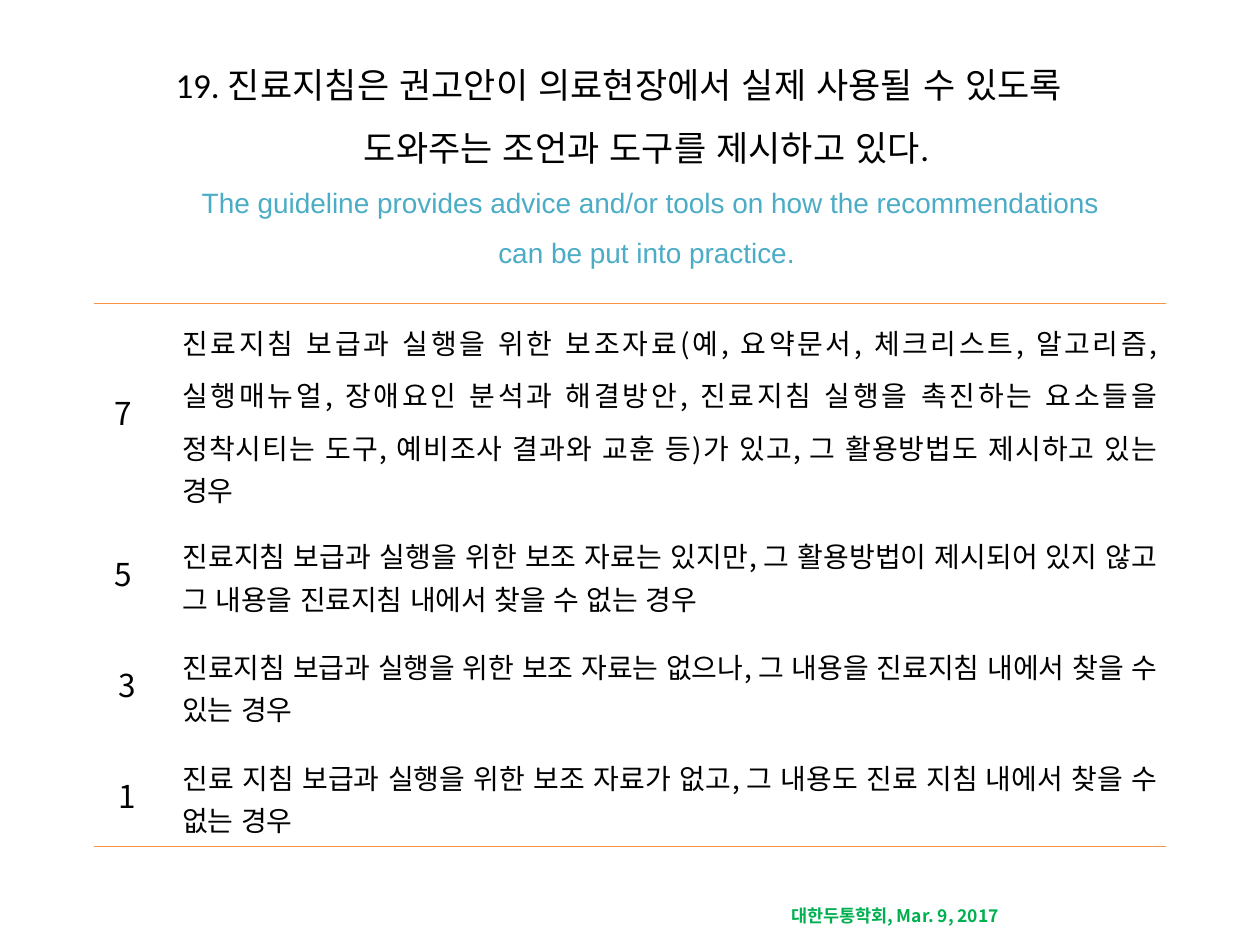
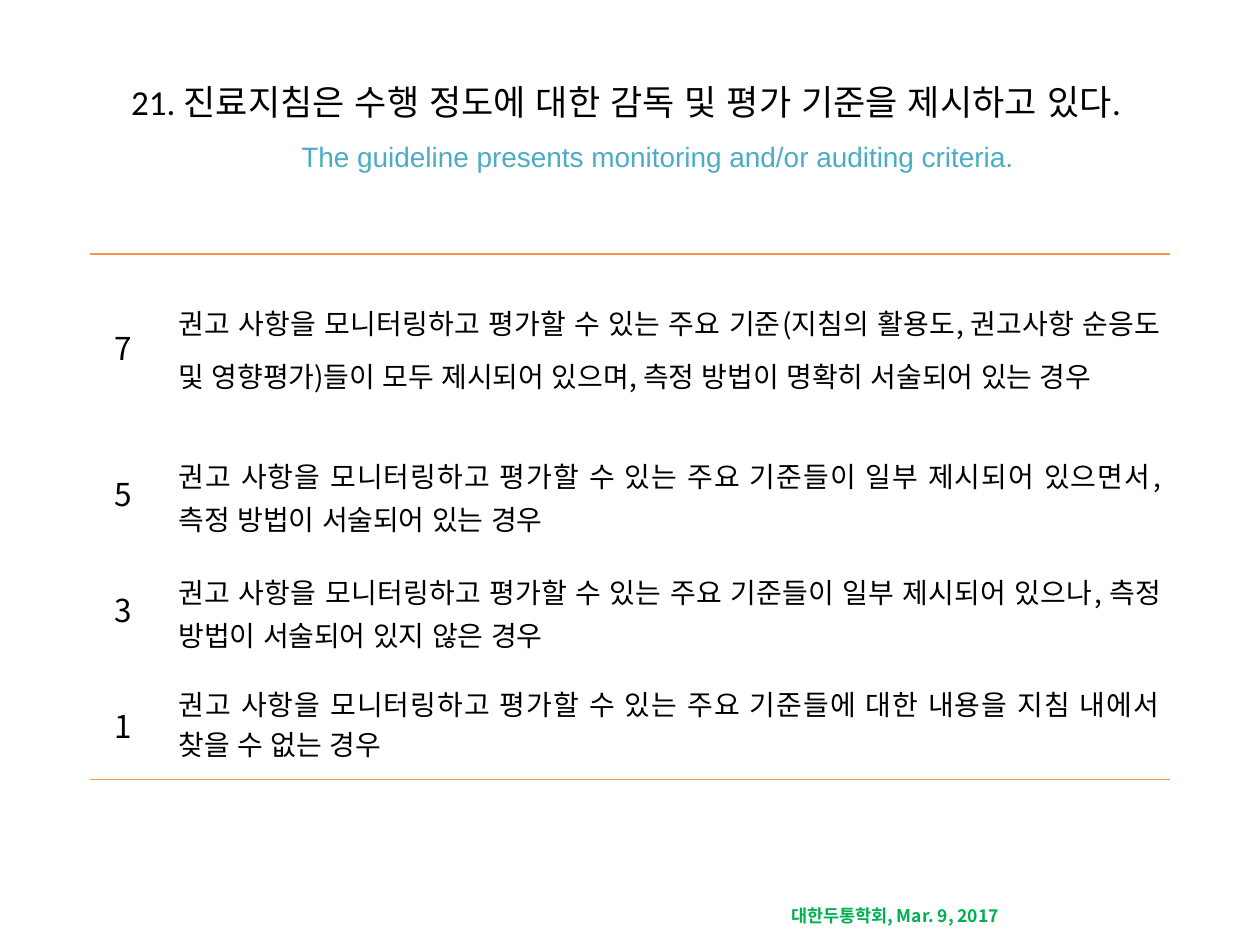
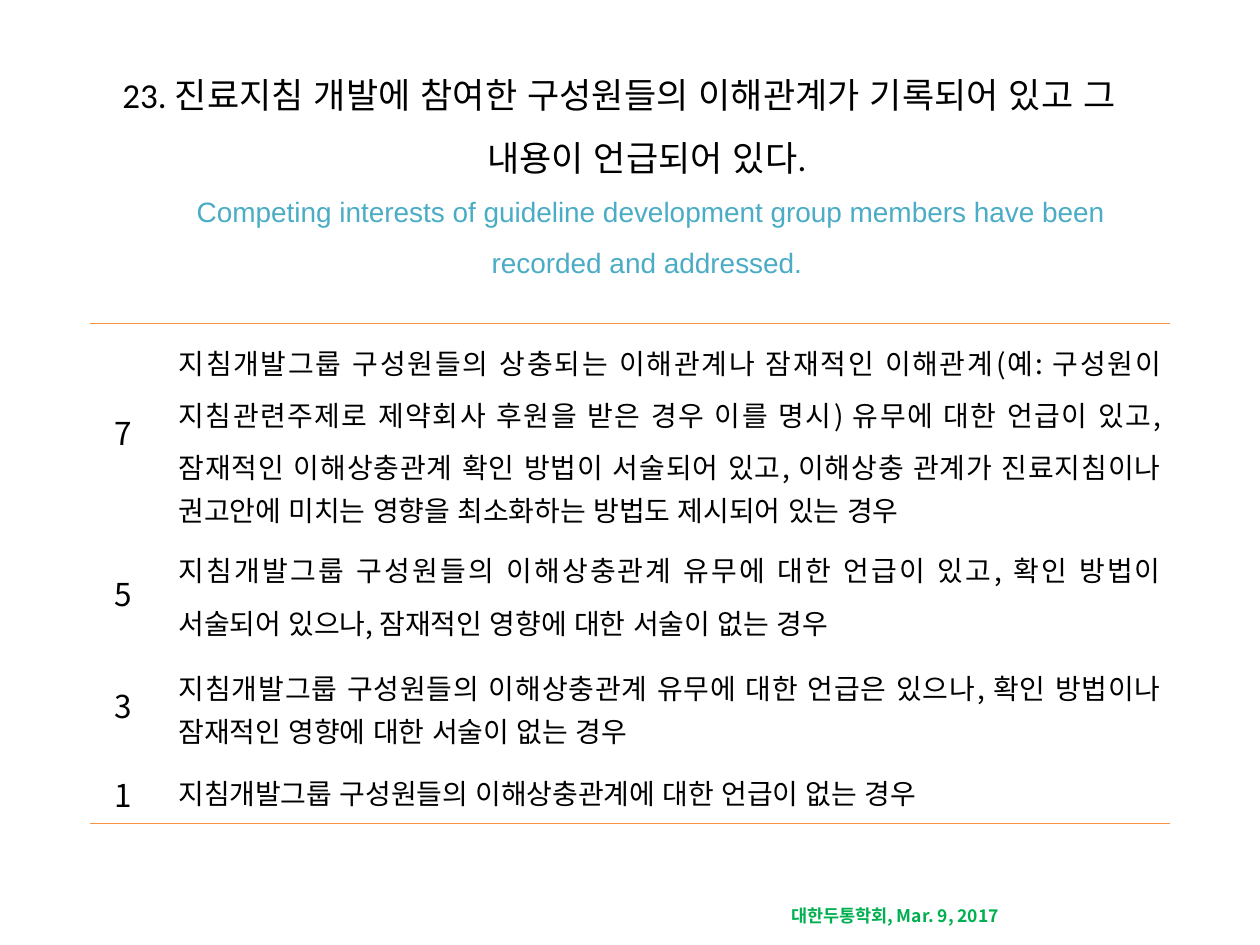
"""Build three guideline appraisal slides, each with a heading and a table of scores."""

from dataclasses import dataclass

from lxml import etree
from pptx import Presentation
from pptx.dml.color import RGBColor
from pptx.enum.text import MSO_ANCHOR, MSO_AUTO_SIZE, PP_ALIGN
from pptx.oxml.ns import qn
from pptx.util import Pt

CENTER = PP_ALIGN.CENTER
JUSTIFY = PP_ALIGN.JUSTIFY
LEFT = PP_ALIGN.LEFT
MIDDLE = MSO_ANCHOR.MIDDLE
TOP = MSO_ANCHOR.TOP
GROW = MSO_AUTO_SIZE.SHAPE_TO_FIT_TEXT
FIXED = MSO_AUTO_SIZE.NONE
BLANK_LAYOUT = 6
PLAIN_TABLE_STYLE = "{2D5ABB26-0587-4C30-8999-92F81FD0307C}"


@dataclass(frozen=True)
class Theme:
    """Colours, fonts and type sizes shared by the slides."""

    ink: str = "000000"
    english: str = "4BACC6"
    rule: str = "F79646"
    footer: str = "00B050"
    korean_font: str = "Noto Sans CJK KR"
    heading_font: str = "Calibri"
    english_font: str = "Arial"
    heading_size: int = 20
    english_size: int = 16
    score_size: int = 18
    criterion_size: int = 16
    footer_size: int = 10
    rule_width: int = 1
    score_column: float = 45.36
    cell_inset: float = 5.04
    score_right_inset: float = 13


THEME = Theme()
FOOTER_TEXT = "대한두통학회, Mar. 9, 2017"
FOOTER_BOX = (444.96, 513.8, 158.4, 19.44)

SLIDES = [
    {
        "heading": "19. 진료지침은 권고안이 의료현장에서 실제 사용될 수 있도록 도와주는 조언과 도구를 제시하고 있다. ",
        "english": "The guideline provides advice and/or tools on how the recommendations can be put into practice. ",
        "heading_box": (58.5, 33.12, 590.4, 112.32),
        "table_box": (53.8, 173.3, 612.72),
        "row_heights": (120.5, 63.36, 63.36, 63.36),
        "criteria": [
            ("7 ", "진료지침 보급과 실행을 위한 보조자료(예, 요약문서, 체크리스트, 알고리즘, 실행매뉴얼, "
             "장애요인 분석과 해결방안, 진료지침 실행을 촉진하는 요소들을 정착시티는 도구, "
             "예비조사 결과와 교훈 등)가 있고, 그 활용방법도 제시하고 있는 경우"),
            ("5 ", "진료지침 보급과 실행을 위한 보조 자료는 있지만, 그 활용방법이 제시되어 있지 않고 "
             "그 내용을 진료지침 내에서 찾을 수 없는 경우"),
            ("3", "진료지침 보급과 실행을 위한 보조 자료는 없으나, 그 내용을 진료지침 내에서 찾을 수 있는 경우"),
            ("1", "진료 지침 보급과 실행을 위한 보조 자료가 없고, 그 내용도 진료 지침 내에서 찾을 수 없는 경우"),
        ],
    },
    {
        "heading": "21. 진료지침은 수행 정도에 대한 감독 및 평가 기준을 제시하고 있다. ",
        "english": "The guideline presents monitoring and/or auditing criteria. ",
        "heading_box": (36, 21.6, 648, 90),
        "table_box": (51.7, 145.2, 616.6),
        "row_heights": (101.52, 66.24, 66.24, 66.24),
        "criteria": [
            ("7", "권고 사항을 모니터링하고 평가할 수 있는 주요 기준(지침의 활용도, 권고사항 순응도 및 "
             "영향평가)들이 모두 제시되어 있으며, 측정 방법이 명확히 서술되어 있는 경우"),
            ("5", "권고 사항을 모니터링하고 평가할 수 있는 주요 기준들이 일부 제시되어 있으면서, "
             "측정 방법이 서술되어 있는 경우"),
            ("3", "권고 사항을 모니터링하고 평가할 수 있는 주요 기준들이 일부 제시되어 있으나, "
             "측정 방법이 서술되어 있지 않은 경우"),
            ("1", "권고 사항을 모니터링하고 평가할 수 있는 주요 기준들에 대한 내용을 지침 내에서 찾을 수 없는 경우"),
        ],
    },
    {
        "heading": "23. 진료지침 개발에 참여한 구성원들의 이해관계가 기록되어 있고 그 내용이 언급되어 있다. ",
        "english": "Competing interests of guideline development group members have been recorded and addressed. ",
        "heading_box": (41.76, 49.5, 624.24, 90),
        "table_box": (51.7, 184.9, 616.6),
        "row_heights": (120, 64.08, 64.08, 37.44),
        "criteria": [
            ("7", "지침개발그룹 구성원들의 상충되는 이해관계나 잠재적인 이해관계(예: 구성원이 지침관련주제로 "
             "제약회사 후원을 받은 경우 이를 명시) 유무에 대한 언급이 있고, 잠재적인 이해상충관계 "
             "확인 방법이 서술되어 있고, 이해상충 관계가 진료지침이나 권고안에 미치는 영향을 "
             "최소화하는 방법도 제시되어 있는 경우"),
            ("5", "지침개발그룹 구성원들의 이해상충관계 유무에 대한 언급이 있고, 확인 방법이 서술되어 있으나, "
             "잠재적인 영향에 대한 서술이 없는 경우"),
            ("3", "지침개발그룹 구성원들의 이해상충관계 유무에 대한 언급은 있으나, 확인 방법이나 "
             "잠재적인 영향에 대한 서술이 없는 경우"),
            ("1", "지침개발그룹 구성원들의 이해상충관계에 대한 언급이 없는 경우"),
        ],
    },
]


def apply_format(target, values):
    """Set each named attribute on the target."""
    for name, value in values.items():
        setattr(target, name, value)


def add_run(paragraph, text, font_name, size, color, east_asian_font=THEME.english_font, bold=False):
    """Add a run with a Latin font and an East Asian font."""
    run = paragraph.add_run()
    run.text = text
    apply_format(run.font, {"name": font_name, "size": Pt(size), "bold": bold})
    run.font.color.rgb = RGBColor.from_string(color)
    east_asian = etree.SubElement(run.font._element, qn("a:ea"))
    east_asian.set("typeface", east_asian_font)


def add_text_box(slide, box, anchor, auto_size):
    """Add a wrapping text box and return its first paragraph."""
    frame = slide.shapes.add_textbox(*map(Pt, box)).text_frame
    apply_format(frame, {"word_wrap": True, "vertical_anchor": anchor, "auto_size": auto_size})
    return frame.paragraphs[0]


def add_heading(slide, heading, english, box):
    """Add the Korean heading with its English wording below."""
    paragraph = add_text_box(slide, box, MIDDLE, FIXED)
    apply_format(paragraph, {"alignment": CENTER, "line_spacing": 1.5})
    properties = paragraph._p.get_or_add_pPr()
    properties.set("marL", str(Pt(36)))
    properties.set("indent", str(-Pt(36)))
    add_run(paragraph, heading, THEME.heading_font, THEME.heading_size, THEME.ink)
    paragraph.add_line_break()
    add_run(paragraph, english, THEME.english_font, THEME.english_size, THEME.english)


def add_footer(slide):
    """Add the society name and date at the foot of the slide."""
    paragraph = add_text_box(slide, FOOTER_BOX, TOP, GROW)
    paragraph.alignment = LEFT
    add_run(paragraph, FOOTER_TEXT, THEME.korean_font, THEME.footer_size, THEME.footer,
            THEME.korean_font, True)


def add_border(cell, side):
    """Draw a coloured rule on one side of a cell."""
    line = etree.Element(qn(f"a:{side}"), w=str(Pt(THEME.rule_width)))
    fill = etree.SubElement(line, qn("a:solidFill"))
    etree.SubElement(fill, qn("a:srgbClr"), val=THEME.rule)
    cell._tc.get_or_add_tcPr().insert(0, line)


def fill_cell(cell, text, size, right_inset, paragraph_format):
    """Write one paragraph into a cell without a fill."""
    cell.fill.background()
    apply_format(cell, {
        "vertical_anchor": MIDDLE,
        "margin_left": Pt(THEME.cell_inset),
        "margin_right": Pt(right_inset),
        "margin_top": 0,
        "margin_bottom": 0,
    })
    paragraph = cell.text_frame.paragraphs[0]
    apply_format(paragraph, paragraph_format)
    add_run(paragraph, text, THEME.korean_font, size, THEME.ink)


def add_score_table(slide, criteria, box, row_heights):
    """Add the table of scores and criteria, ruled above and below."""
    left, top, width = box
    frame = slide.shapes.add_table(
        len(criteria), 2, Pt(left), Pt(top), Pt(width), Pt(sum(row_heights)))
    table = frame.table
    apply_format(table, {"first_row": False, "horz_banding": False})
    table._tbl.tblPr.find(qn("a:tableStyleId")).text = PLAIN_TABLE_STYLE
    for column, column_width in zip(table.columns, (THEME.score_column, width - THEME.score_column)):
        column.width = Pt(column_width)
    score_format = {"alignment": CENTER, "line_spacing": 1.15, "space_after": Pt(8)}
    criterion_format = {"alignment": JUSTIFY, "line_spacing": 1.3}
    for index, (score, criterion) in enumerate(criteria):
        table.rows[index].height = Pt(row_heights[index])
        fill_cell(table.cell(index, 0), score, THEME.score_size,
                  THEME.score_right_inset, score_format)
        fill_cell(table.cell(index, 1), criterion, THEME.criterion_size,
                  THEME.cell_inset, criterion_format)
    for column in range(2):
        add_border(table.cell(0, column), "lnT")
        add_border(table.cell(len(criteria) - 1, column), "lnB")


def main():
    """Build the slides and save the presentation."""
    presentation = Presentation()
    apply_format(presentation, {"slide_width": Pt(720), "slide_height": Pt(540)})
    for content in SLIDES:
        slide = presentation.slides.add_slide(presentation.slide_layouts[BLANK_LAYOUT])
        add_footer(slide)
        add_heading(slide, content["heading"], content["english"], content["heading_box"])
        add_score_table(slide, content["criteria"], content["table_box"], content["row_heights"])
    presentation.save("out.pptx")


if __name__ == "__main__":
    main()
